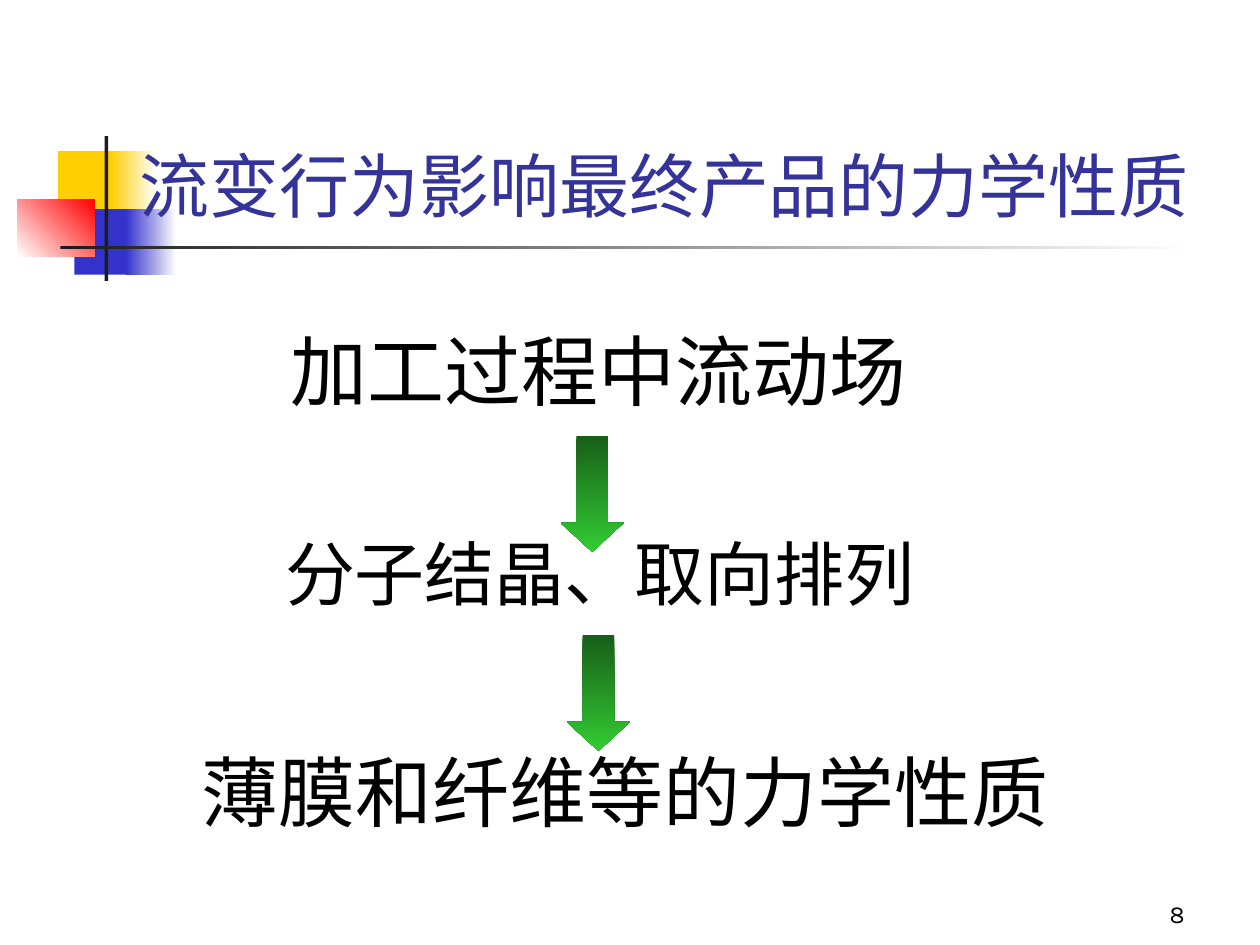
"""Build the slide on how rheological behaviour shapes product mechanics."""
from dataclasses import dataclass
from typing import Optional

from pptx import Presentation
from pptx.dml.color import RGBColor
from pptx.enum import shapes, text
from pptx.util import Inches, Pt


@dataclass(frozen=True)
class Theme:
    yellow: str = "FFCF01"
    blue: str = "3333CC"
    red: str = "FF0000"
    white: str = "FFFFFF"
    charcoal: str = "1C1C1C"
    dark_green: str = "185E18"
    green: str = "33CC33"
    title: str = "333399"
    body: str = "000000"
    title_font: str = "Karla"
    body_font: str = "Times New Roman"
    large: int = 44
    medium: int = 40
    small: int = 14


@dataclass(frozen=True)
class Box:
    left: float
    top: float
    width: float
    height: float

    def lengths(self) -> tuple:
        return tuple(Inches(v) for v in (self.left, self.top, self.width, self.height))


@dataclass(frozen=True)
class Block:
    box: Box
    start: str
    end: Optional[str] = None
    angle: int = 0
    preset: shapes.MSO_SHAPE = shapes.MSO_SHAPE.RECTANGLE


@dataclass(frozen=True)
class Label:
    box: Box
    wording: str
    size: int
    color: str = Theme.body
    font: str = Theme.body_font
    align: text.PP_ALIGN = text.PP_ALIGN.CENTER
    anchor: text.MSO_ANCHOR = text.MSO_ANCHOR.TOP


THEME = Theme()

ORNAMENT = [
    Block(Box(0.46, 1.2, 0.48, 0.52), THEME.yellow),
    Block(Box(0.88, 1.2, 0.36, 0.52), THEME.yellow, THEME.white),
    Block(Box(0.59, 1.66, 0.46, 0.52), THEME.blue),
    Block(Box(1, 1.66, 0.4, 0.52), THEME.blue, THEME.white),
    Block(Box(0.14, 1.58, 0.61, 0.46), THEME.white, THEME.red, 45),
    Block(Box(0.83, 1.08, 0.03, 1.15), THEME.charcoal),
    Block(Box(0.48, 1.95, 9, 0.03), THEME.charcoal, THEME.white),
]

HEADINGS = [
    Label(Box(7.42, 6.92, 2.08, 0.5), "8", THEME.small, font=THEME.title_font,
          align=text.PP_ALIGN.RIGHT, anchor=text.MSO_ANCHOR.BOTTOM),
    Label(Box(1.01, 1.03, 8.79, 0.82), "流变行为影响最终产品的力学性质", THEME.medium,
          THEME.title, THEME.title_font, text.PP_ALIGN.LEFT, text.MSO_ANCHOR.BOTTOM),
]

STAGES = [
    Label(Box(2, 2.52, 5.5, 0.84), "加工过程中流动场", THEME.large),
    Label(Box(2.01, 4.16, 5.5, 0.77), "分子结晶、取向排列", THEME.medium),
    Label(Box(1.47, 5.86, 6.99, 0.84), "薄膜和纤维等的力学性质", THEME.large),
]

ARROWS = [
    Block(Box(left, top, 0.5, 0.92), THEME.dark_green, THEME.green, 270,
          shapes.MSO_SHAPE.DOWN_ARROW)
    for left, top in ((4.45, 3.46), (4.5, 5.04))
]


def draw_block(slide, block: Block) -> None:
    """Draw a borderless shape with a solid or two-colour fill."""
    figure = slide.shapes.add_shape(block.preset, *block.box.lengths())
    figure.shadow.inherit = False
    figure.line.fill.background()
    if block.preset == shapes.MSO_SHAPE.DOWN_ARROW:
        figure.adjustments[0] = 0.5
        figure.adjustments[1] = 0.46
    if block.end is None:
        figure.fill.solid()
        figure.fill.fore_color.rgb = RGBColor.from_string(block.start)
        return
    figure.fill.gradient()
    figure.fill.gradient_angle = block.angle
    for stop, color in zip(figure.fill.gradient_stops, (block.start, block.end)):
        stop.color.rgb = RGBColor.from_string(color)


def draw_label(slide, label: Label) -> None:
    """Write one line of text in its box."""
    frame = slide.shapes.add_textbox(*label.box.lengths()).text_frame
    frame.word_wrap = True
    frame.vertical_anchor = label.anchor
    frame.text = label.wording
    line = frame.paragraphs[0]
    line.alignment = label.align
    font = line.runs[0].font
    font.name = label.font
    font.size = Pt(label.size)
    font.color.rgb = RGBColor.from_string(label.color)


def main() -> None:
    """Assemble and save the slide."""
    deck = Presentation()
    deck.slide_width, deck.slide_height = Inches(10), Inches(7.5)
    slide = deck.slides.add_slide(deck.slide_layouts[6])
    for block in ORNAMENT:
        draw_block(slide, block)
    for label in HEADINGS + STAGES:
        draw_label(slide, label)
    for arrow in ARROWS:
        draw_block(slide, arrow)
    deck.save("out.pptx")


if __name__ == "__main__":
    main()
